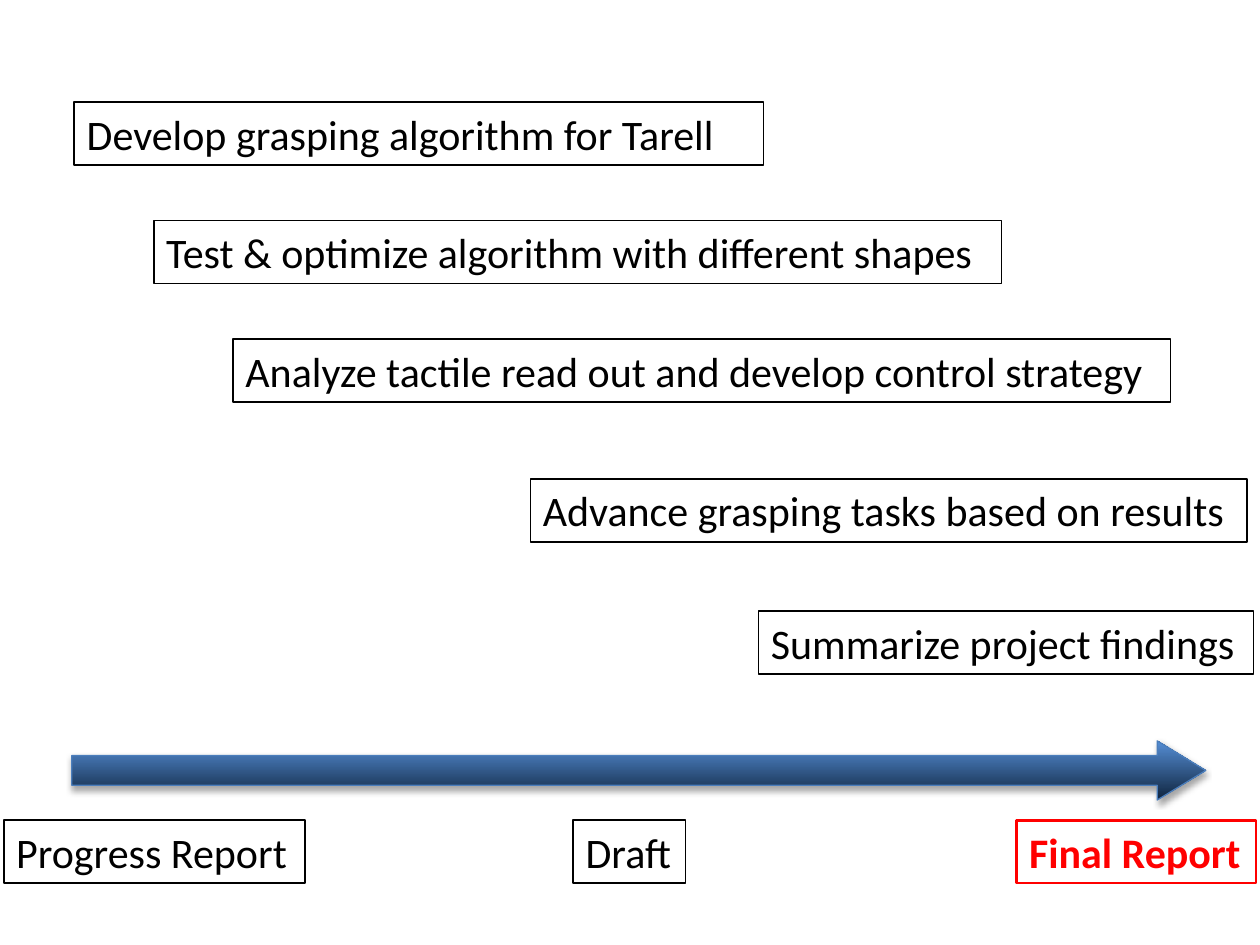
from dataclasses import dataclass

from lxml import etree
from pptx import Presentation
from pptx.dml.color import RGBColor
from pptx.enum.shapes import MSO_SHAPE
from pptx.enum.text import MSO_AUTO_SIZE, PP_ALIGN
from pptx.oxml.ns import qn
from pptx.shapes.autoshape import Shape
from pptx.slide import Slide
from pptx.util import Inches, Pt

RIGHT_ARROW = MSO_SHAPE.RIGHT_ARROW
GROW_TO_TEXT = MSO_AUTO_SIZE.SHAPE_TO_FIT_TEXT
LEFT_ALIGNED = PP_ALIGN.LEFT

COLORS = {
    "text": "000000",
    "final": "FF0000",
    "arrow_dark": "0F243E",
    "arrow_light": "558ED5",
    "arrow_line": "4B7EBC",
    "shadow": "000000",
}
FONT = "Calibri"
FONT_SIZE = 24
BOX_HEIGHT = 0.5
MILESTONE_TOP = 6.51
TITLE_FREE_LAYOUT = 6


@dataclass(frozen=True)
class Label:
    """A framed line of text, with its place in inches."""

    text: str
    left: float
    top: float
    width: float
    color: str = "text"
    line_width: float = 1
    bold: bool = False


TASKS = [
    Label("Develop grasping algorithm for Tarell", 0.59, 0.81, 5.47),
    Label("Test & optimize algorithm with different shapes ", 1.22, 1.75, 6.73),
    Label("Analyze tactile read out and develop control strategy ", 1.85, 2.69, 7.44),
    Label("Advance grasping tasks based on results", 4.21, 3.8, 5.69),
    Label("Summarize project findings", 6.02, 4.85, 3.93),
]
MILESTONES = [
    Label("Progress Report", 0.03, MILESTONE_TOP, 2.39),
    Label("Draft", 4.55, MILESTONE_TOP, 0.89),
    Label("Final Report", 8.07, MILESTONE_TOP, 1.9, "final", 1.5, True),
]


def rgb(name: str) -> RGBColor:
    """Look up a colour by its name."""
    return RGBColor.from_string(COLORS[name])


def add_shadow(shape: Shape) -> None:
    """Give a shape a soft shadow straight below it."""
    shape.shadow.inherit = False
    effects = shape._element.spPr.find(qn("a:effectLst"))
    shadow = etree.SubElement(
        effects, qn("a:outerShdw"), blurRad=str(Pt(3.1)), dist=str(Pt(1.8)),
        dir=str(90 * 60000), rotWithShape="0",
    )
    color = etree.SubElement(shadow, qn("a:srgbClr"), val=COLORS["shadow"])
    etree.SubElement(color, qn("a:alpha"), val="35000")


def add_time_arrow(page: Slide) -> None:
    """Draw the time axis as a shaded block arrow."""
    arrow = page.shapes.add_shape(
        RIGHT_ARROW, Inches(0.57), Inches(5.88), Inches(9), Inches(0.47)
    )
    arrow.adjustments[0] = 0.5
    arrow.adjustments[1] = 0.82
    arrow.fill.gradient()
    arrow.fill.gradient_angle = 90
    for stop, name, position in zip(
        arrow.fill.gradient_stops, ("arrow_dark", "arrow_light"), (0, 1)
    ):
        stop.color.rgb = rgb(name)
        stop.position = position
    arrow.line.color.rgb = rgb("arrow_line")
    arrow.line.width = Pt(0.75)
    add_shadow(arrow)


def add_label(page: Slide, label: Label) -> None:
    """Draw one framed line of text."""
    box = page.shapes.add_textbox(
        Inches(label.left), Inches(label.top), Inches(label.width), Inches(BOX_HEIGHT)
    )
    box.line.color.rgb = rgb(label.color)
    box.line.width = Pt(label.line_width)
    frame = box.text_frame
    frame.text = label.text
    frame.word_wrap = False
    frame.auto_size = GROW_TO_TEXT
    para = frame.paragraphs[0]
    para.alignment = LEFT_ALIGNED
    font = para.runs[0].font
    font.name = FONT
    font.size = Pt(FONT_SIZE)
    font.bold = label.bold
    font.color.rgb = rgb(label.color)


def main() -> None:
    """Build the project timeline slide."""
    deck = Presentation()
    deck.slide_width, deck.slide_height = Inches(10), Inches(7.5)
    page = deck.slides.add_slide(deck.slide_layouts[TITLE_FREE_LAYOUT])
    add_time_arrow(page)
    for label in MILESTONES + TASKS:
        add_label(page, label)
    deck.save("out.pptx")


main()
